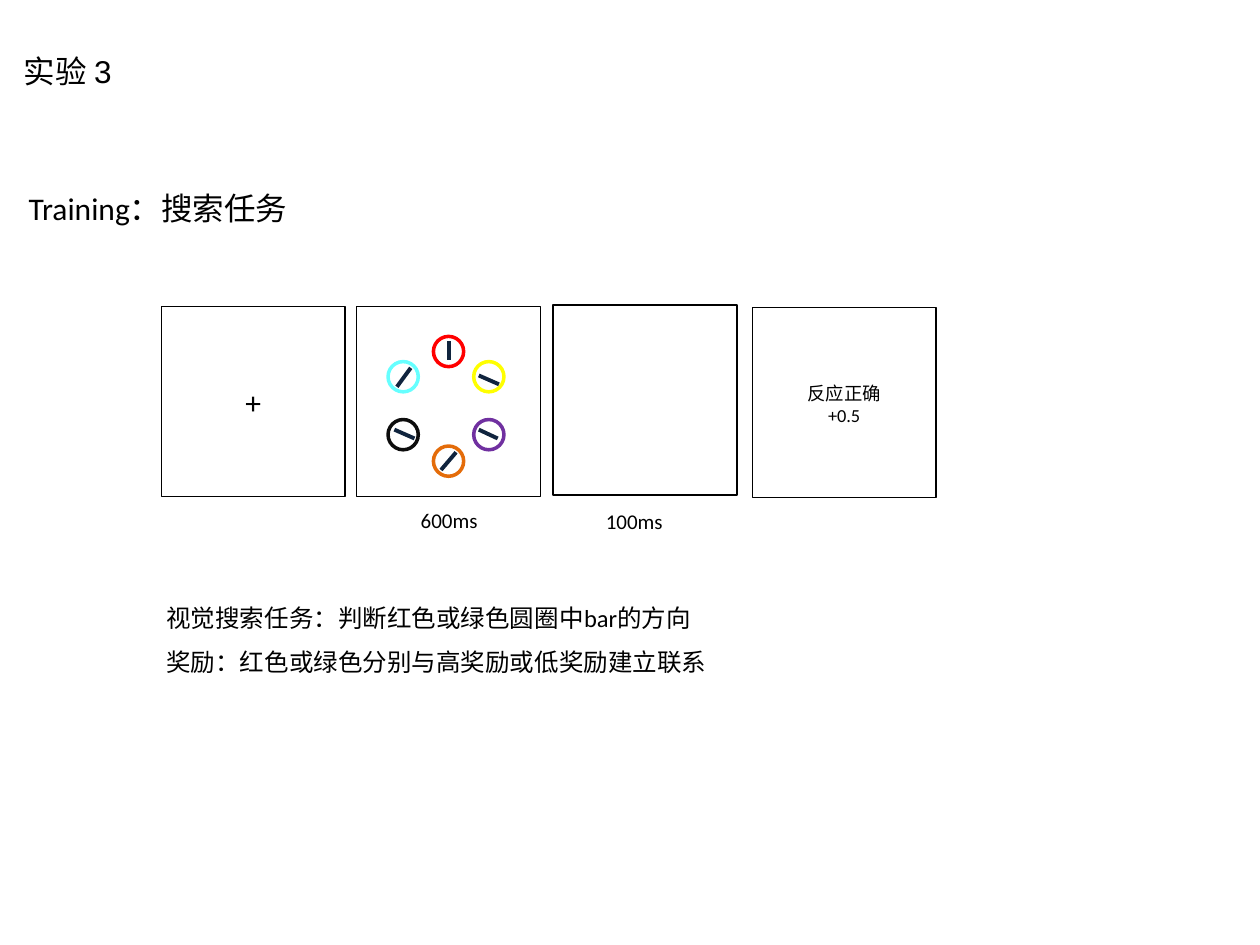
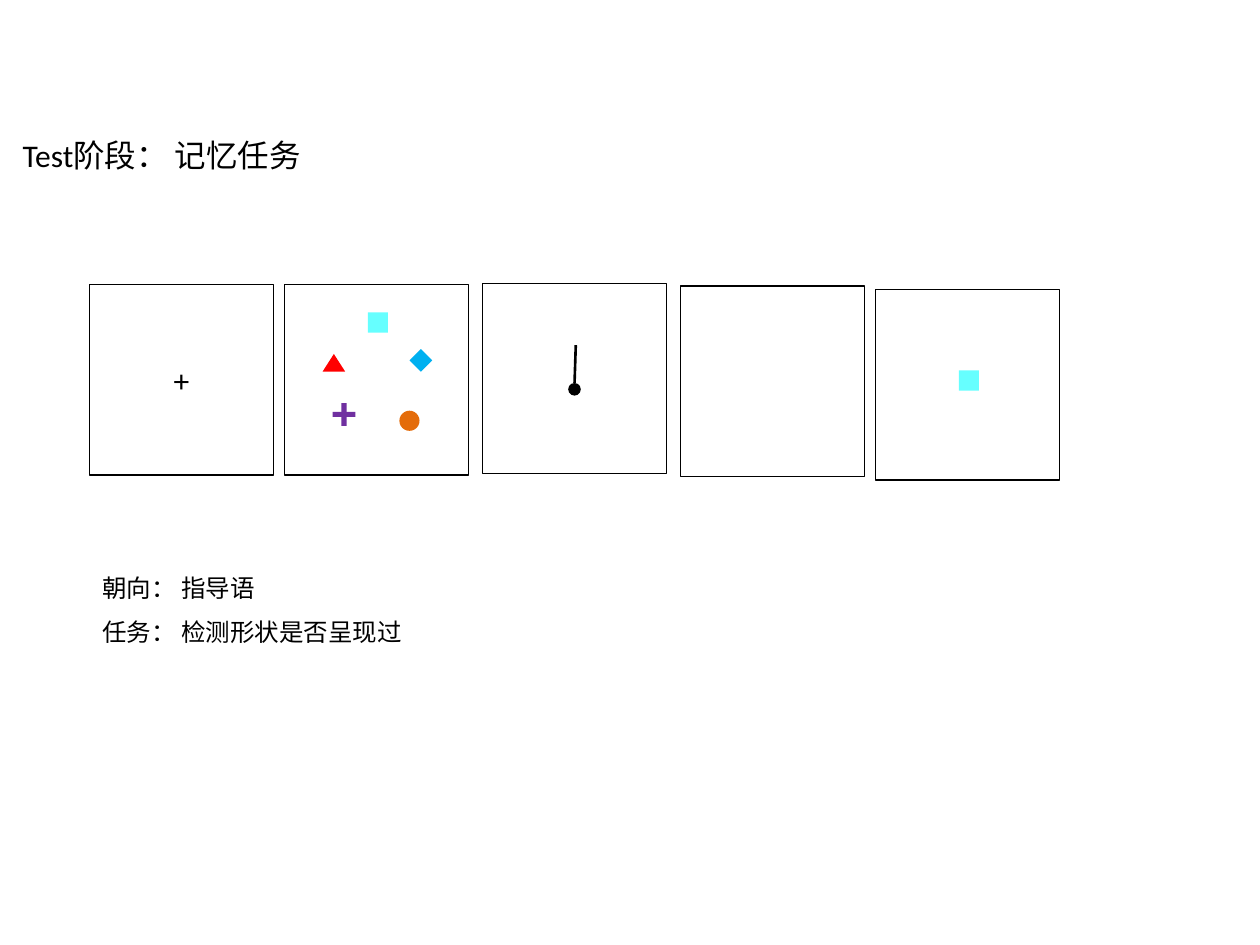
from lxml import etree
from pptx import Presentation
from pptx.dml.color import RGBColor
from pptx.enum.shapes import MSO_CONNECTOR, MSO_SHAPE
from pptx.enum.text import MSO_ANCHOR, MSO_AUTO_SIZE, PP_ALIGN
from pptx.oxml.ns import qn
from pptx.util import Inches, Pt

BLACK, NAVY, CYAN = "000000", "10243E", "66FFFF"
ORANGE, PURPLE, RED = "E46C0A", "7030A0", "FF0000"
FRAME_SIZE = (1.46, 1.51)
RING_SIZE = 0.24
ITEM_SIZE = 0.16

TRAINING = {
    "title": ("实验 3", (0.09, 0.36, 3, 0.4), "Arial"),
    "notes": ["视觉搜索任务：判断红色或绿色圆圈中bar的方向",
              "奖励：红色或绿色分别与高奖励或低奖励建立联系"],
    "notes_area": (1.22, 4.62, 7.24, 0.68),
    "frames": [(1.28, 2.43), (2.83, 2.43), (4.39, 2.42), (5.97, 2.44)],
}
TEST = {
    "title": ("Test阶段： 记忆任务", (0.08, 1.03, 3, 0.4), "Calibri"),
    "notes": ["朝向： 指导语", "任务： 检测形状是否呈现过"],
    "notes_area": (0.71, 4.38, 8.82, 0.68),
    "frames": [(0.71, 2.26), (2.26, 2.26), (3.83, 2.25), (5.4, 2.27), (6.95, 2.3)],
}
SUBTITLE = ("Training：搜索任务", (0.13, 1.45, 3, 0.4))
DURATIONS = [("600ms", (3.24, 3.98, 0.92, 0.3)), ("100ms", (4.71, 3.99, 0.92, 0.3))]
FEEDBACK = "反应正确\n+0.5"

# Ring corner, ring colour, bar start, bar end
SEARCH_ITEMS = [
    ((3.44, 2.67), RED, (3.56, 2.71), (3.56, 2.86)),
    ((3.08, 2.87), CYAN, (3.26, 2.92), (3.15, 3.07)),
    ((3.08, 3.33), "0D0D0D", (3.13, 3.41), (3.29, 3.48)),
    ((3.44, 3.54), ORANGE, (3.62, 3.59), (3.5, 3.73)),
    ((3.76, 3.33), PURPLE, (3.8, 3.41), (3.95, 3.48)),
    ((3.76, 2.87), "FFFF00", (3.8, 2.98), (3.96, 3.05)),
]
# Shape, area, colour, rotation
MEMORY_ITEMS = [
    (MSO_SHAPE.ISOSCELES_TRIANGLE, (2.56, 2.81, 0.18, 0.14), RED, 0),
    (MSO_SHAPE.RECTANGLE, (2.92, 2.48, ITEM_SIZE, ITEM_SIZE), CYAN, 0),
    (MSO_SHAPE.OVAL, (3.17, 3.26, ITEM_SIZE, ITEM_SIZE), ORANGE, 0),
    (MSO_SHAPE.DIAMOND, (3.25, 2.77, 0.18, 0.18), "00B0F0", 0),
    (MSO_SHAPE.RECTANGLE, (2.64, 3.27, 0.18, 0.04), PURPLE, 0),
    (MSO_SHAPE.RECTANGLE, (2.64, 3.27, 0.18, 0.04), PURPLE, 90),
]
POINTER_DOT = (MSO_SHAPE.OVAL, (4.51, 3.04, 0.1, 0.1), BLACK, 0)
POINTER_LINE = ((4.56, 3.04), (4.57, 2.74))
PROBE = (MSO_SHAPE.RECTANGLE, (7.61, 2.94, ITEM_SIZE, ITEM_SIZE), CYAN, 0)


def colour(hex_value):
    return RGBColor.from_string(hex_value)


def inches(values):
    return [Inches(value) for value in values]


def write(box, text, size, font="Calibri", align=PP_ALIGN.LEFT, spacing=1.0, wrap=True):
    frame = box.text_frame
    frame.text = text
    frame.word_wrap = wrap
    frame.auto_size = MSO_AUTO_SIZE.NONE
    frame.vertical_anchor = MSO_ANCHOR.TOP
    for para in frame.paragraphs:
        para.alignment = align
        para.line_spacing = spacing
        para.space_before = Pt(0)
        for span in para.runs:
            span.font.size = Pt(size)
            span.font.name = font
            span.font.color.rgb = colour(BLACK)


def add_text(page, text, area, size, **style):
    write(page.shapes.add_textbox(*inches(area)), text, size, **style)


def place(box, area):
    box.left, box.top, box.width, box.height = inches(area)


def add_outline(page, kind, area, line, weight):
    shape = page.shapes.add_shape(kind, *inches(area))
    shape.shadow.inherit = False
    shape.fill.background()
    shape.line.color.rgb = colour(line)
    shape.line.width = Pt(weight)


def add_item(page, kind, area, fill, rotation):
    shape = page.shapes.add_shape(kind, *inches(area))
    shape.shadow.inherit = False
    shape.fill.solid()
    shape.fill.fore_color.rgb = colour(fill)
    shape.line.fill.background()
    shape.rotation = rotation


def add_line(page, start, end, line, weight):
    connector = page.shapes.add_connector(MSO_CONNECTOR.STRAIGHT, *inches(start + end))
    connector.line.color.rgb = colour(line)
    connector.line.width = Pt(weight)
    etree.SubElement(connector.element.spPr, qn("a:effectLst"))


def add_page(deck, content):
    """Adds a slide with its title, notes, trial frames and fixation cross."""
    page = deck.slides.add_slide(deck.slide_layouts[1])
    text, area, font = content["title"]
    place(page.shapes.title, area)
    write(page.shapes.title, text, 18, font=font)

    notes = page.placeholders[1]
    place(notes, content["notes_area"])
    write(notes, "\n".join(content["notes"]), 14, spacing=1.5)
    for para in notes.text_frame.paragraphs:
        properties = para._p.get_or_add_pPr()
        properties.set("marL", "0")
        properties.set("indent", "0")
        etree.SubElement(properties, qn("a:buNone"))

    for corner in content["frames"]:
        add_outline(page, MSO_SHAPE.RECTANGLE, corner + FRAME_SIZE, BLACK, 0.75)
    left, top = content["frames"][0]
    add_text(page, "+", (left + 0.57, top + 0.56, 0.33, 0.4), 18, wrap=False)
    return page


def build_training(deck):
    page = add_page(deck, TRAINING)
    add_text(page, *SUBTITLE, 18)
    for corner, ring, start, end in SEARCH_ITEMS:
        add_outline(page, MSO_SHAPE.OVAL, corner + (RING_SIZE, RING_SIZE), ring, 2)
        add_line(page, start, end, NAVY, 2.25)
    for label, area in DURATIONS:
        add_text(page, label, area, 12)
    left, top = TRAINING["frames"][-1]
    add_text(page, FEEDBACK, (left, top + 0.54, FRAME_SIZE[0], 0.45), 10.5,
             align=PP_ALIGN.CENTER)


def build_test(deck):
    page = add_page(deck, TEST)
    for item in MEMORY_ITEMS + [POINTER_DOT, PROBE]:
        add_item(page, *item)
    add_line(page, *POINTER_LINE, BLACK, 1.5)


def main():
    deck = Presentation()
    deck.slide_width, deck.slide_height = Inches(10), Inches(7.5)
    build_training(deck)
    build_test(deck)
    deck.save("out.pptx")


if __name__ == "__main__":
    main()
